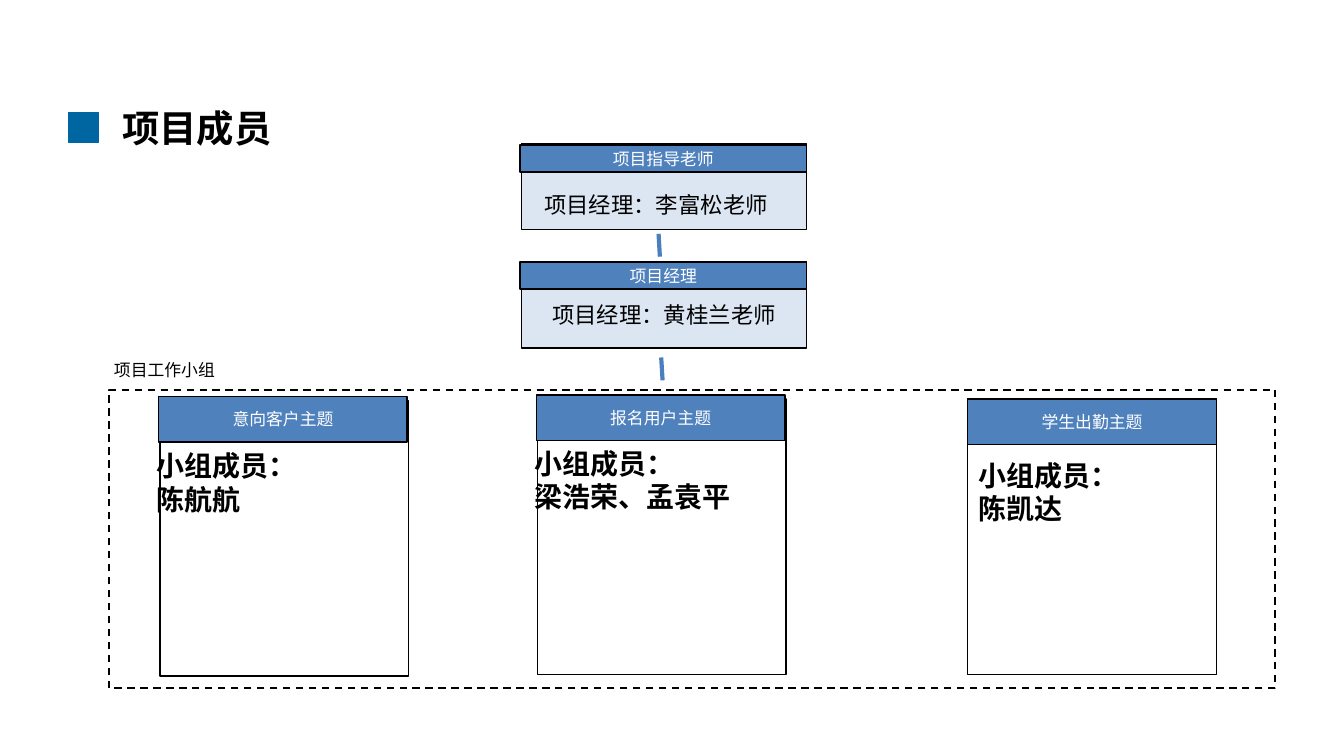
from lxml import etree
from pptx import Presentation
from pptx import util as u
from pptx.dml.color import RGBColor
from pptx.enum import dml, shapes, text
from pptx.oxml import ns

PX = 9144
SLIDE_WIDTH = 1000 * PX
SLIDE_HEIGHT = SLIDE_WIDTH * 9 // 16
FONT = "Noto Sans CJK SC"
BLACK = RGBColor(0, 0, 0)
WHITE = RGBColor(255, 255, 255)
HEADER_BLUE = RGBColor(0x4F, 0x81, 0xBD)
PALE_BLUE = RGBColor(0xDC, 0xE6, 0xF2)
LINK_BLUE = RGBColor(0x4B, 0x7E, 0xBC)
MARKER_BLUE = RGBColor(0x00, 0x66, 0xA1)


def px(*lengths):
    """Turn lengths in px into EMU."""
    return [u.Emu(length * PX) for length in lengths]


def write(frame, lines, size, color=BLACK, bold=False, align=text.PP_ALIGN.LEFT):
    """Fill a text frame with lines in one style."""
    frame.text = "\n".join(lines)
    for paragraph in frame.paragraphs:
        paragraph.alignment = align
        for run in paragraph.runs:
            run.font.name = FONT
            run.font.size = u.Pt(size)
            run.font.bold = bold
            run.font.color.rgb = color
            etree.SubElement(run.font._element, ns.qn("a:ea"), typeface=FONT)


def add_label(slide, box, lines, size, bold=False):
    """Place a wrapping text box."""
    label = slide.shapes.add_textbox(*px(*box))
    label.text_frame.word_wrap = True
    write(label.text_frame, lines, size, bold=bold)


def add_panel(slide, box, fill=None, line=BLACK, width=0.75):
    """Place a rectangle, hollow when no fill is given."""
    panel = slide.shapes.add_shape(shapes.MSO_SHAPE.RECTANGLE, *px(*box))
    panel.shadow.inherit = False
    if fill is None:
        panel.fill.background()
    else:
        panel.fill.solid()
        panel.fill.fore_color.rgb = fill
    panel.line.color.rgb = line
    panel.line.width = u.Pt(width)
    return panel


def add_header(slide, box, caption):
    """Place a blue header bar with a centred caption."""
    frame = add_panel(slide, box, HEADER_BLUE).text_frame
    frame.word_wrap = False
    frame.vertical_anchor = text.MSO_ANCHOR.MIDDLE
    write(frame, [caption], 9, WHITE, align=text.PP_ALIGN.CENTER)


def add_title(slide, box, caption):
    """Place the slide title with its marker of four squares."""
    left, top, width, height = box
    for row in range(2):
        for column in range(2):
            square = (left - 30 + 11 * column, top + 11 + 11 * row, 11, 11)
            add_panel(slide, square, MARKER_BLUE, MARKER_BLUE, 0.5)
    add_label(slide, box, [caption], 20, bold=True)


def add_role(slide, box, header_drop, role, person, person_offset):
    """Place a role card with a header and a person."""
    left, top, width, height = box
    add_panel(slide, box, PALE_BLUE)
    add_header(slide, (left - 1, top + header_drop, width + 1, 20), role)
    dx, dy = person_offset
    add_label(slide, (left + dx, top + dy, 210, 30), [person], 12)


def add_link(slide, left, top):
    """Place the short line that joins two levels."""
    link = slide.shapes.add_connector(
        shapes.MSO_CONNECTOR.STRAIGHT, *px(left, top, left + 1, top + 17))
    link.line.color.rgb = LINK_BLUE
    link.line.width = u.Pt(2.25)
    etree.SubElement(link._element.spPr, ns.qn("a:effectLst"))


def add_team(slide, box, shift, topic, members, members_offset):
    """Place a team card, its header moved up and left by shift."""
    left, top, width, height = box
    add_panel(slide, box)
    add_header(slide, (left - shift[0], top - shift[1], width, 34), topic)
    dx, dy = members_offset
    add_label(slide, (left + dx, top + dy, 187, 86), ["小组成员：", members], 15, bold=True)


def add_work_group(slide, box, caption):
    """Place the dashed work group frame with its caption and teams."""
    left, top, width, height = box
    add_label(slide, (left - 6, top - 27, 130, 25), [caption], 9)
    frame = add_panel(slide, box, width=1)
    frame.line.dash_style = dml.MSO_LINE.DASH
    teams = [
        (38, 8, (1, 3), "意向客户主题", "陈航航", (-12, 31)),
        (319, 7, (1, 3), "报名用户主题", "梁浩荣、孟袁平", (-12, 30)),
        (639, 7, (0, 0), "学生出勤主题", "陈凯达", (-2, 39)),
    ]
    for dx, dy, *team in teams:
        add_team(slide, (left + dx, top + dy, 185, 205), *team)


def main():
    """Build and save the project members slide."""
    deck = Presentation()
    deck.slide_width = SLIDE_WIDTH
    deck.slide_height = SLIDE_HEIGHT
    slide = deck.slides.add_slide(deck.slide_layouts[6])
    add_title(slide, (81, 73, 654, 44), "项目成员")
    add_role(slide, (388, 107, 212, 64), 1, "项目指导老师", "项目经理：李富松老师", (7, 30))
    add_link(slide, 490, 174)
    add_role(slide, (388, 195, 212, 64), 0, "项目经理", "项目经理：黄桂兰老师", (13, 24))
    add_link(slide, 492, 266)
    add_work_group(slide, (81, 290, 868, 222), "项目工作小组")
    deck.save("out.pptx")


if __name__ == "__main__":
    main()
